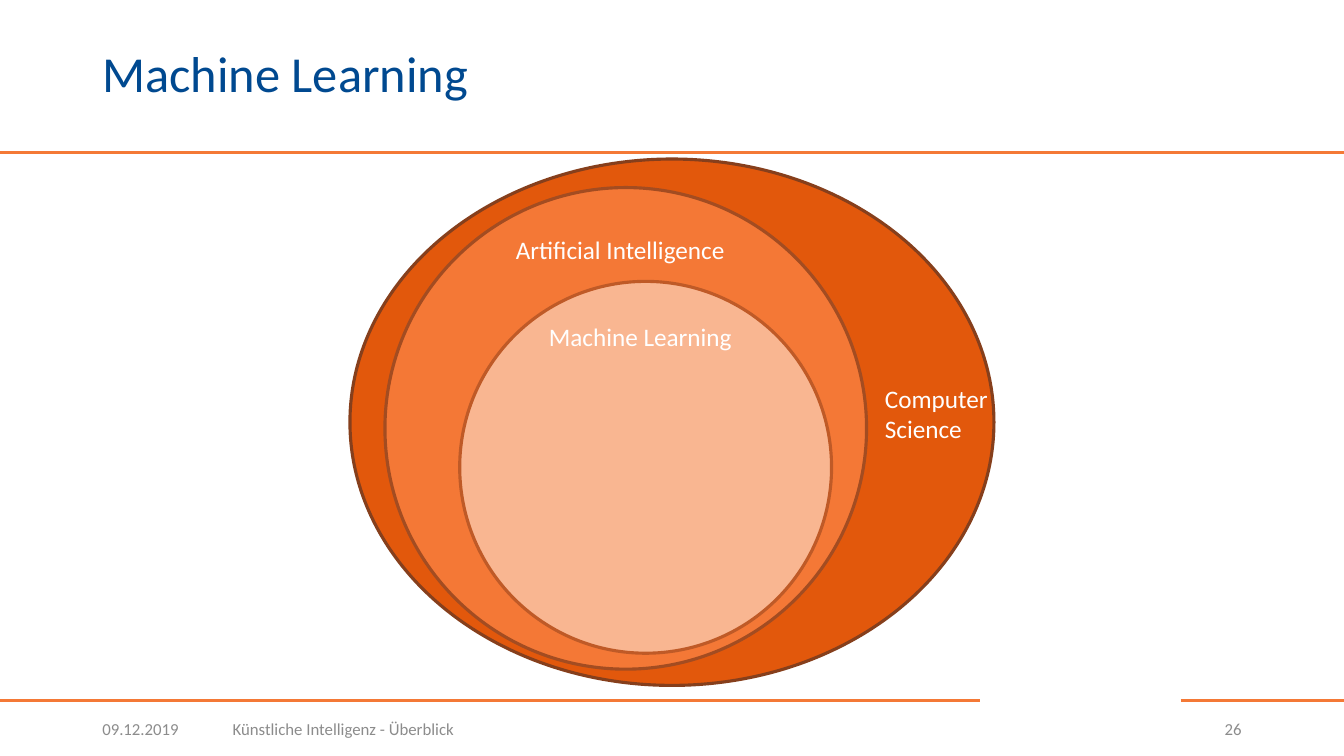
from lxml import etree
from pptx import Presentation
from pptx.dml.color import RGBColor
from pptx.enum import shapes, text
from pptx.oxml import ns
from pptx.util import Pt

COLORS = {
    "title": "004990",
    "rule": "F47936",
    "footer": "8C8C8C",
    "label": "FFFFFF",
    "science_fill": "E2580C",
    "science_line": "863F1C",
    "intelligence_fill": "F47836",
    "intelligence_line": "A34C21",
    "learning_fill": "F9B691",
    "learning_line": "BF5A27",
}
FONT = "Calibri"
SLIDE_WIDTH, SLIDE_HEIGHT = 960, 540
FOOTER_TOP, FOOTER_HEIGHT = 506.2, 28.8


def color(name):
    return RGBColor.from_string(COLORS[name])


def place(shape, left, top, width, height):
    shape.left, shape.top = Pt(left), Pt(top)
    shape.width, shape.height = Pt(width), Pt(height)


def write_text(shape, content, size=18, fill="label", align=text.PP_ALIGN.LEFT,
               anchor=text.MSO_ANCHOR.TOP, wrap=True, spacing=1.0,
               fit=text.MSO_AUTO_SIZE.NONE):
    frame = shape.text_frame
    frame.text = content
    frame.word_wrap = wrap
    frame.auto_size = fit
    frame.vertical_anchor = anchor
    for paragraph in frame.paragraphs:
        paragraph.alignment = align
        paragraph.line_spacing = spacing
        paragraph.font.name = FONT
        paragraph.font.size = Pt(size)
        paragraph.font.color.rgb = color(fill)


def add_rule(slide, start, end, top):
    rule = slide.shapes.add_connector(
        shapes.MSO_CONNECTOR.STRAIGHT, Pt(start), Pt(top), Pt(end), Pt(top))
    rule.line.color.rgb = color("rule")
    rule.line.width = Pt(2)
    properties = rule.element.find(ns.qn("p:spPr"))
    etree.SubElement(properties, ns.qn("a:effectLst"))


def add_field(group, name, left, top, width, height):
    field = group.shapes.add_shape(
        shapes.MSO_SHAPE.OVAL, Pt(left), Pt(top), Pt(width), Pt(height))
    field.shadow.inherit = False
    field.fill.solid()
    field.fill.fore_color.rgb = color(f"{name}_fill")
    field.line.color.rgb = color(f"{name}_line")
    field.line.width = Pt(2.25)


def add_label(group, content, left, top, width, height):
    label = group.shapes.add_textbox(Pt(left), Pt(top), Pt(width), Pt(height))
    write_text(label, content, wrap=False,
               fit=text.MSO_AUTO_SIZE.SHAPE_TO_FIT_TEXT)


def add_footer(slide, content, left, width, align=text.PP_ALIGN.LEFT):
    footer = slide.shapes.add_textbox(
        Pt(left), Pt(FOOTER_TOP), Pt(width), Pt(FOOTER_HEIGHT))
    write_text(footer, content, size=12, fill="footer", align=align,
               anchor=text.MSO_ANCHOR.MIDDLE)


def main():
    presentation = Presentation()
    presentation.slide_width = Pt(SLIDE_WIDTH)
    presentation.slide_height = Pt(SLIDE_HEIGHT)
    slide = presentation.slides.add_slide(presentation.slide_layouts[5])

    # Rules under the title and above the footer
    add_rule(slide, 0, SLIDE_WIDTH, 108.8)
    add_rule(slide, 0, 700, 500.4)
    add_rule(slide, 843.4, SLIDE_WIDTH, 500.4)

    # Title
    title = slide.shapes.title
    place(title, 66, 12.2, 828, 85)
    write_text(title, "Machine Learning", size=36, fill="title", spacing=0.9,
               anchor=text.MSO_ANCHOR.MIDDLE)

    # Footer
    add_footer(slide, "09.12.2019", 66, 84.2)
    add_footer(slide, "Künstliche Intelligenz - Überblick", 159.1, 666.7)
    add_footer(slide, "26", 837.4, 56.6, align=text.PP_ALIGN.RIGHT)

    # Nested fields, from the widest to the narrowest
    diagram = slide.shapes.add_group_shape()
    add_field(diagram, "science", 250, 113.6, 460, 376)
    add_field(diagram, "intelligence", 275, 134, 344, 344)
    add_label(diagram, "Artificial Intelligence", 361.4, 163.6, 165.6, 29)
    add_field(diagram, "learning", 328.4, 201, 265.6, 265.6)
    add_label(diagram, "Machine Learning", 385, 225.6, 147, 29)
    add_label(diagram, "Computer\nScience", 625, 270.2, 88.6, 51)

    presentation.save("out.pptx")


if __name__ == "__main__":
    main()
